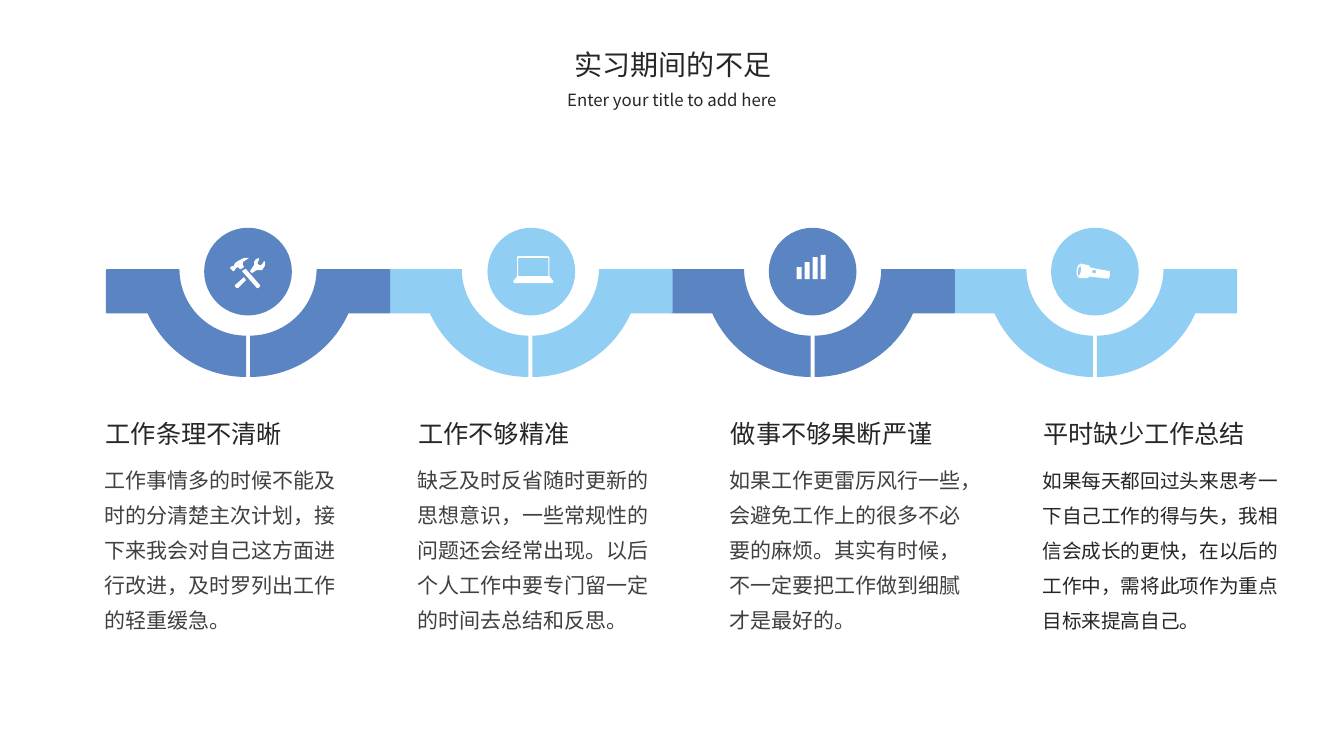
from math import cos, sin, asin, sqrt, pi

from lxml.etree import SubElement
from pptx import Presentation
from pptx.dml.color import RGBColor
from pptx.enum.shapes import MSO_SHAPE
from pptx.enum.text import MSO_AUTO_SIZE, PP_ALIGN
from pptx.oxml.ns import qn
from pptx.util import Inches, Pt

FONT = "Noto Sans CJK SC"
COLORS = {"dark": "262626", "grey": "404040", "blue": "5B84C2",
          "sky": "91CEF4", "white": "FFFFFF"}

# Heading, body, body size, body colour
COLUMNS = [
    ("工作条理不清晰",
     "工作事情多的时候不能及时的分清楚主次计划，接下来我会对自己这方面进行改进，及时罗列出工作的轻重缓急。",
     15, "grey"),
    ("工作不够精准",
     "缺乏及时反省随时更新的思想意识，一些常规性的问题还会经常出现。以后个人工作中要专门留一定的时间去总结和反思。",
     15, "grey"),
    ("做事不够果断严谨",
     "如果工作更雷厉风行一些，会避免工作上的很多不必要的麻烦。其实有时候，不一定要把工作做到细腻才是最好的。",
     15, "grey"),
    ("平时缺少工作总结",
     "如果每天都回过头来思考一下自己工作的得与失，我相信会成长的更快，在以后的工作中，需将此项作为重点目标来提高自己。",
     14, "dark"),
]
COLUMN_PITCH = 3.1

# Chain of links: arm top, arm bottom and ring radii
LINK_CENTERS = [2.46, 5.26, 8.06, 10.86]
DISC_CENTERS = [2.46, 5.27, 8.06, 10.86]
LINK_COLORS = ["blue", "sky", "blue", "sky"]
ARM_TOP, ARM_HEIGHT, ARM_LENGTH = 2.67, 0.44, 1.39
INNER_RADIUS, OUTER_RADIUS, CORNER = 0.66, 1.07, 0.01
HALF_GAP, DISC_SIZE, DISC_TOP = 0.02, 0.87, 2.26

# Icon outlines in inches
TOOLS = [
    [(2.33, 2.83), (2.33, 2.84), (2.35, 2.86), (2.36, 2.86), (2.44, 2.78), (2.42, 2.75)],
    [(2.63, 2.6), (2.62, 2.59), (2.6, 2.62), (2.59, 2.63), (2.57, 2.63), (2.55, 2.61),
     (2.56, 2.6), (2.57, 2.57), (2.57, 2.56), (2.54, 2.57), (2.52, 2.6), (2.52, 2.63),
     (2.5, 2.66), (2.48, 2.69), (2.5, 2.71), (2.53, 2.69), (2.55, 2.68), (2.57, 2.68),
     (2.6, 2.68), (2.62, 2.65), (2.63, 2.63)],
    [(2.44, 2.67), (2.43, 2.67), (2.4, 2.69), (2.55, 2.86), (2.56, 2.86), (2.58, 2.84),
     (2.58, 2.83)],
    [(2.34, 2.66), (2.36, 2.65), (2.38, 2.67), (2.39, 2.67), (2.42, 2.65), (2.41, 2.63),
     (2.41, 2.6), (2.44, 2.58), (2.47, 2.56), (2.42, 2.56), (2.36, 2.59), (2.33, 2.61),
     (2.32, 2.64), (2.3, 2.64), (2.28, 2.66), (2.31, 2.69), (2.32, 2.69), (2.33, 2.68)],
]
LAPTOP = [
    [(5.44, 2.74), (5.14, 2.74), (5.14, 2.56), (5.44, 2.56)],
    [(5.09, 2.79), (5.1, 2.81), (5.12, 2.81), (5.46, 2.81), (5.48, 2.81), (5.49, 2.79),
     (5.45, 2.74), (5.45, 2.56), (5.45, 2.55), (5.43, 2.54), (5.14, 2.54), (5.13, 2.55),
     (5.13, 2.74)],
]
TORCH = [
    [(10.73, 2.65), (10.74, 2.63), (10.74, 2.6), (10.72, 2.61), (10.7, 2.64),
     (10.69, 2.67), (10.69, 2.69), (10.71, 2.68)],
    [(10.87, 2.71), (10.87, 2.69), (10.85, 2.68), (10.83, 2.69), (10.83, 2.7),
     (10.84, 2.71), (10.85, 2.72)],
    [(10.69, 2.63), (10.72, 2.59), (10.75, 2.58), (10.8, 2.61), (10.82, 2.62),
     (10.83, 2.65), (10.99, 2.74), (11, 2.75), (10.99, 2.78), (10.97, 2.81),
     (10.96, 2.81), (10.79, 2.73), (10.77, 2.74), (10.74, 2.73), (10.69, 2.71),
     (10.68, 2.69), (10.68, 2.66)],
]
BAR_HEIGHTS = [0.12, 0.17, 0.22, 0.24]


def paint(shape, color):
    shape.shadow.inherit = False
    shape.fill.solid()
    shape.fill.fore_color.rgb = RGBColor.from_string(COLORS[color])
    shape.line.fill.background()
    return shape


def add_preset(slide, kind, left, top, width, height, color):
    box = [Inches(value) for value in (left, top, width, height)]
    return paint(slide.shapes.add_shape(kind, *box), color)


def add_outline(slide, contours, color):
    builder = None
    for contour in contours:
        points = [(Inches(x), Inches(y)) for x, y in contour]
        if builder is None:
            builder = slide.shapes.build_freeform(*points[0], scale=1.0)
        else:
            builder.move_to(*points[0])
        builder.add_line_segments(points[1:], close=True)
    return paint(builder.convert_to_shape(), color)


def add_text(slide, text, left, top, width, height, size, color,
             align=PP_ALIGN.LEFT, line_spacing=None):
    box = slide.shapes.add_textbox(Inches(left), Inches(top), Inches(width), Inches(height))
    frame = box.text_frame
    frame.word_wrap = True
    frame.auto_size = MSO_AUTO_SIZE.SHAPE_TO_FIT_TEXT
    paragraph = frame.paragraphs[0]
    paragraph.text = text
    paragraph.alignment = align
    paragraph.line_spacing = line_spacing
    font = paragraph.font
    font.size = Pt(size)
    font.name = FONT
    font.color.rgb = RGBColor.from_string(COLORS[color])
    # East Asian typeface
    properties = paragraph._p.pPr.find(qn("a:defRPr"))
    SubElement(properties, qn("a:ea")).set("typeface", FONT)


def arc(radius, start, end, steps=32):
    angles = [start + (end - start) * step / steps for step in range(steps + 1)]
    return [(radius * cos(angle), radius * sin(angle)) for angle in angles]


def add_half_link(slide, center, side, color):
    """Draw a quarter ring with its arm; side is 1 for right, -1 for left."""
    outline = arc(INNER_RADIUS, pi / 2, 0)
    outline += [(ARM_LENGTH - CORNER, 0), (ARM_LENGTH, CORNER),
                (ARM_LENGTH, ARM_HEIGHT - CORNER), (ARM_LENGTH - CORNER, ARM_HEIGHT),
                (sqrt(OUTER_RADIUS ** 2 - ARM_HEIGHT ** 2), ARM_HEIGHT)]
    outline += arc(OUTER_RADIUS, asin(ARM_HEIGHT / OUTER_RADIUS), pi / 2)
    add_outline(slide, [[(center + side * (HALF_GAP + x), ARM_TOP + y)
                         for x, y in outline]], color)


def add_bars_icon(slide):
    for index, height in enumerate(BAR_HEIGHTS):
        add_preset(slide, MSO_SHAPE.RECTANGLE, 7.9 + 0.08 * index, 2.77 - height,
                   0.05, height, "white")


def main():
    presentation = Presentation()
    presentation.slide_width, presentation.slide_height = Inches(13.33), Inches(7.5)
    slide = presentation.slides.add_slide(presentation.slide_layouts[6])

    # Title
    add_text(slide, "实习期间的不足", 5.47, 0.42, 2.41, 0.44, 20, "dark", PP_ALIGN.CENTER)
    add_text(slide, "Enter your title to add here", 5.32, 0.84, 2.69, 0.3, 12, "dark",
             PP_ALIGN.CENTER)

    # Text columns
    for index, (heading, body, size, color) in enumerate(COLUMNS):
        left = 0.95 + COLUMN_PITCH * index
        add_text(slide, heading, left, 4.1, 2.35, 0.4, 18, "dark")
        add_text(slide, body, left - 0.01, 4.49, 2.62, 1.85, size, color,
                 line_spacing=Pt(25))

    # Chain, drawn from the right so that each link overlaps the next
    for center, color in reversed(list(zip(LINK_CENTERS, LINK_COLORS))):
        for side in (1, -1):
            add_half_link(slide, center, side, color)

    # Discs and icons
    for center, color in zip(DISC_CENTERS, LINK_COLORS):
        add_preset(slide, MSO_SHAPE.OVAL, center - DISC_SIZE / 2, DISC_TOP,
                   DISC_SIZE, DISC_SIZE, color)
    add_outline(slide, TOOLS, "white")
    add_outline(slide, LAPTOP, "white")
    add_bars_icon(slide)
    add_outline(slide, TORCH, "white").rotation = -19

    presentation.save("out.pptx")


if __name__ == "__main__":
    main()
